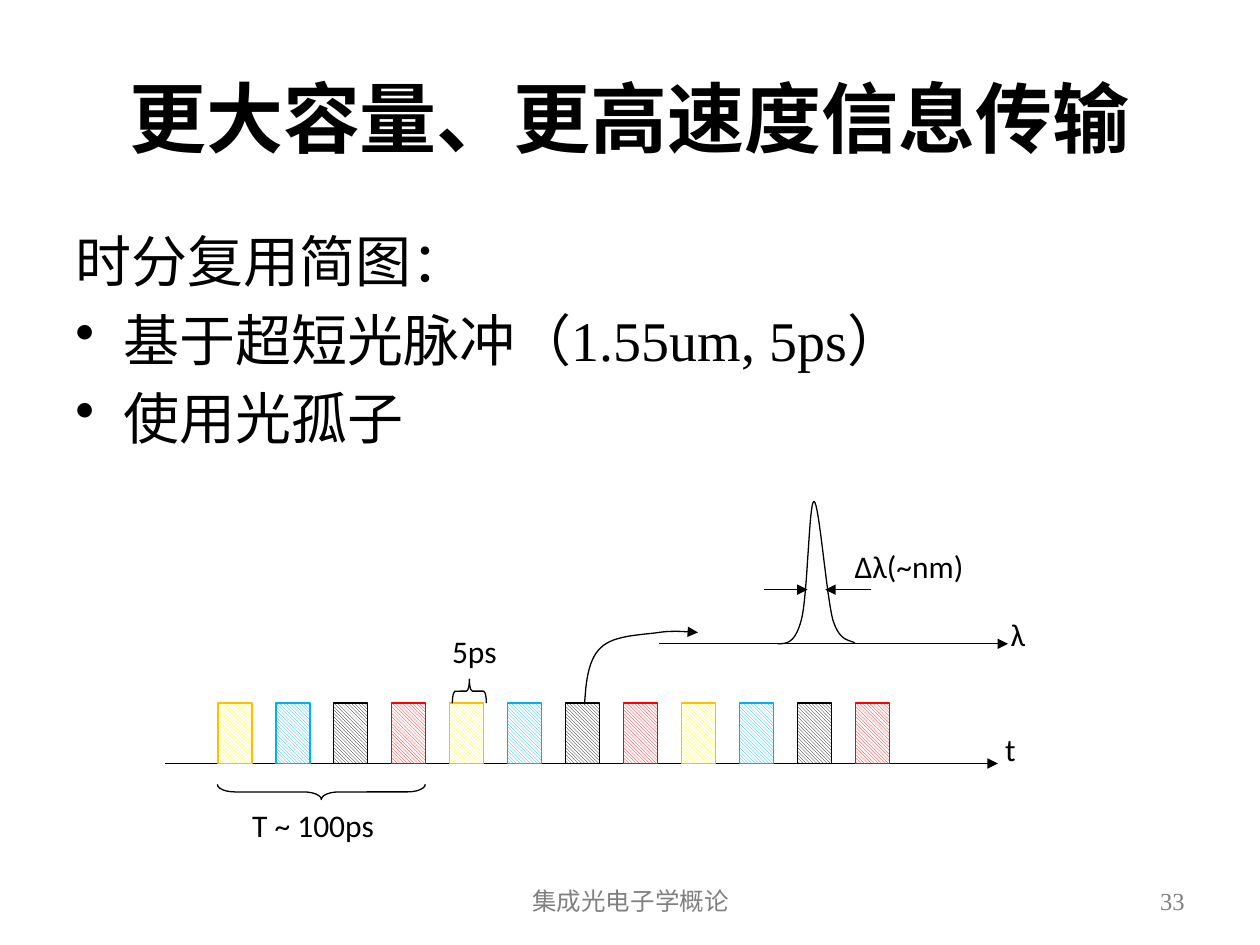
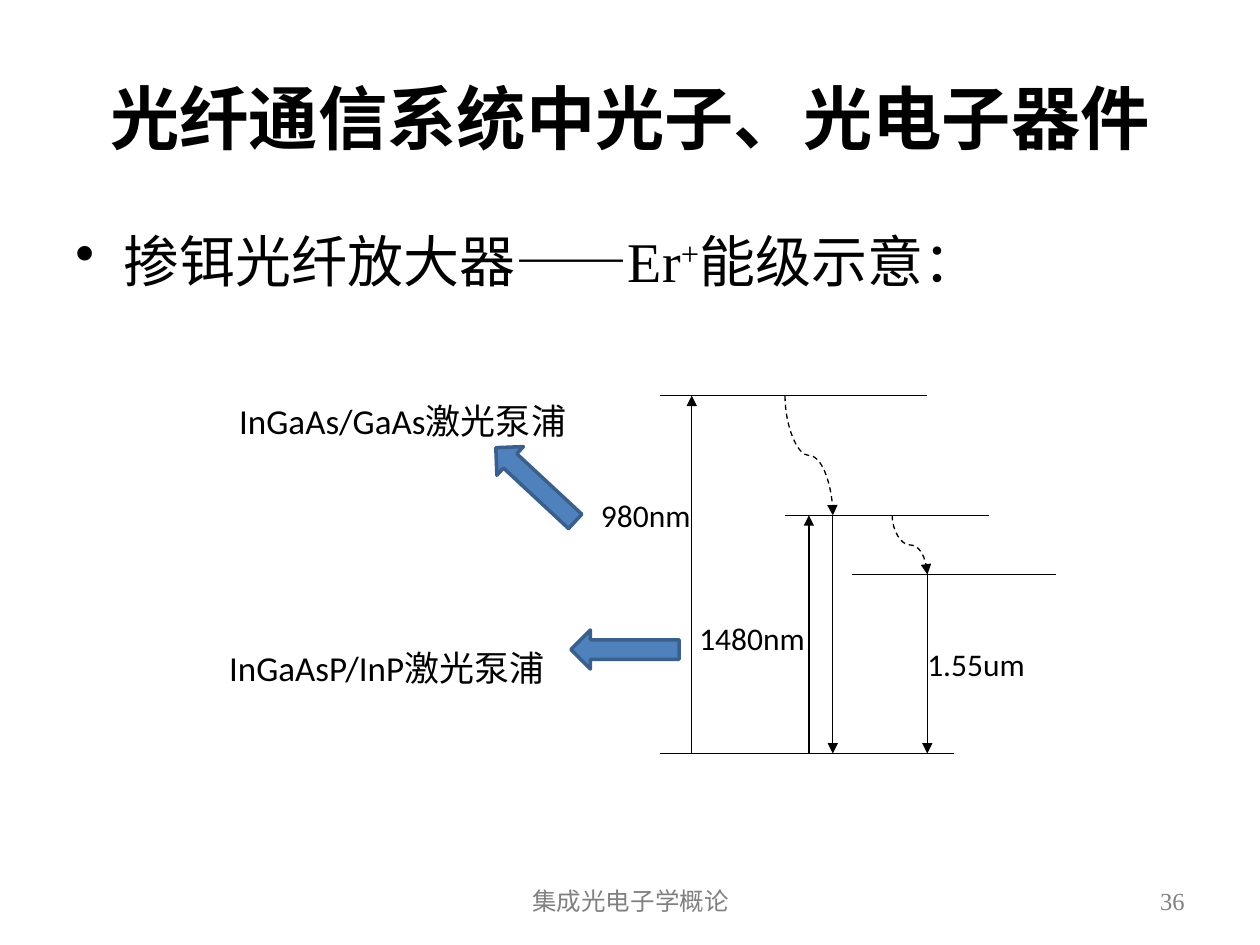
"""Build two slides on optical links: time multiplexing and erbium levels."""
from lxml.etree import SubElement as Sub
from pptx import Presentation
from pptx.dml.color import RGBColor as Rgb
from pptx.enum.dml import MSO_LINE as Dash, MSO_PATTERN as Pat
from pptx.enum.shapes import MSO_CONNECTOR as Con, MSO_SHAPE as Kind
from pptx.enum.text import MSO_ANCHOR as Anchor, PP_ALIGN as Align
from pptx.oxml.ns import qn
from pptx.util import Inches, Pt

HUES = {"ink": "000000", "grey": "808080", "paper": "FFFFFF", "yellow": "FFFF00",
        "gold": "FFC000", "sky": "00B0F0", "red": "FF0000",
        "blue": "4F81BD", "navy": "3A5F8C"}
SERIF, SANS = "Times New Roman", "Calibri"
FONTS = {
    "title": dict(name=SERIF, size=Pt(44), bold=True),
    "long": dict(name=SERIF, size=Pt(39.6), bold=True),
    "body": dict(name=SERIF, size=Pt(32)),
    "label": dict(name=SANS, size=Pt(18)),
    "pump": dict(name=SANS, size=Pt(20)),
    "foot": dict(name=SANS, size=Pt(14)),
    "page": dict(name=SERIF, size=Pt(14)),
}
TITLE, BODY = (0.5, 0.3, 9, 1.25), (0.5, 1.75, 9, 4.95)
FOOT, PAGE = (3.42, 6.95, 3.17, 0.4), (7.17, 6.95, 2.33, 0.4)
COURSE = "集成光电子学概论"
HANG = 0.38

PULSE = {
    "title": "更大容量、更高速度信息传输", "font": "title", "page": "33",
    "body": [(False, ["时分复用简图："]),
             (True, ["基于超短光脉冲（1.55um, 5ps）"]),
             (True, ["使用光孤子"])],
    "labels": [("5ps", (3.13, 5.02, 1.27, 0.47)),
               ("t", (7.74, 5.79, 0.56, 0.46)),
               ("λ", (7.8, 4.88, 0.56, 0.46)),
               ("Δλ(~nm)", (6.69, 4.34, 1.05, 0.46)),
               ("T ~ 100ps", (1.76, 6.4, 1.45, 0.6))],
    "arrows": [(1.31, 6.06, 7.92, 6.06), (5.23, 5.11, 8, 5.11),
               (6.06, 4.68, 6.41, 4.68), (6.91, 4.68, 6.55, 4.68)],
}
TINTS = [("yellow", "gold"), ("sky", "sky"), ("ink", "ink"), ("red", "red")]
ROUNDS, LEFT, STEP, TOP, WIDE, HIGH = 3, 1.73, 0.46, 5.58, 0.27, 0.48
BRACES = [((2.49, 5.46, 0.12, 1.65), 270, 1.17), ((3.63, 5.35, 0.19, 0.27), 90, 0.12)]
PEAK = [(6.17, 5.11), (6.24, 5.11), (6.31, 5.11), (6.36, 4.92),
        (6.41, 4.74), (6.42, 3.98), (6.46, 3.98),
        (6.5, 3.98), (6.56, 4.74), (6.61, 4.92),
        (6.67, 5.11), (6.75, 5.07), (6.79, 5.11)]
LEAD = [(4.64, 5.59), (4.65, 5.41), (4.67, 5.23), (4.77, 5.14),
        (4.87, 5.04), (5.1, 5.04), (5.23, 5.02),
        (5.36, 5), (5.49, 5.02), (5.54, 5.02)]

ERBIUM = {
    "title": "光纤通信系统中光子、光电子器件", "font": "long", "page": "36",
    "body": [(True, ["掺铒光纤放大器——Er", "^+", "能级示意："])],
    "labels": [("980nm", (4.77, 3.94, 0.93, 0.51)),
               ("1480nm", (5.55, 4.91, 0.93, 0.51)),
               ("1.55um", (7.36, 5.12, 0.93, 0.51))],
}
GROUND, LOW, MID, HIGHEST = 5.98, 4.56, 4.09, 3.14
LEVELS = [(5.24, 7.57, GROUND), (6.76, 8.38, LOW), (6.23, 7.85, MID), (5.24, 7.36, HIGHEST)]
JUMPS = [(5.49, GROUND, HIGHEST), (6.42, GROUND, MID), (7.36, LOW, GROUND), (6.61, MID, GROUND)]
DECAYS = [(6.23, HIGHEST, 6.61, MID), (7.08, MID, 7.36, LOW)]
PUMPS = [("InGaAs/GaAs激光泵浦", (1.8, 3.12, 3.05, 0.44), (3.82, 3.69, 0.86, 0.31), 222.9),
         ("InGaAsP/InP激光泵浦", (1.72, 5.08, 3.44, 0.44), (4.53, 5, 0.86, 0.31), 180)]


def hue(key):
    return Rgb.from_string(HUES[key])


def scale(box):
    return [Inches(v) for v in box]


def style(font, key, tint="ink"):
    for name, value in FONTS[key].items():
        setattr(font, name, value)
    font.color.rgb = hue(tint)


def frame(slide, box, anchor=Anchor.TOP, inset=None):
    text = slide.shapes.add_textbox(*scale(box)).text_frame
    text.word_wrap, text.vertical_anchor = True, anchor
    if inset is not None:
        for side in ("left", "top", "right", "bottom"):
            setattr(text, f"margin_{side}", Inches(inset))
    return text


def write(slide, words, box, key, align=Align.LEFT, tint="ink", **form):
    para = frame(slide, box, **form).paragraphs[0]
    para.alignment = align
    run = para.add_run()
    run.text = words
    style(run.font, key, tint)


def list_body(slide, rows):
    text = frame(slide, BODY)
    for i, (dot, parts) in enumerate(rows):
        para = text.add_paragraph() if i else text.paragraphs[0]
        if i:
            para.space_before = Pt(6.4)
        prop = para._p.get_or_add_pPr()
        prop.set("marL", str(Inches(HANG)))
        prop.set("indent", str(-Inches(HANG)))
        if dot:
            Sub(prop, qn("a:buChar"), char="•")
        else:
            Sub(prop, qn("a:buNone"))
        for part in parts:
            run = para.add_run()
            run.text = part.lstrip("^")
            style(run.font, "body")
            if part.startswith("^"):
                run._r.get_or_add_rPr().set("baseline", "30000")


def stroke(item, tint="ink", width=0.75, head=False, dash=None):
    item.line.color.rgb, item.line.width = hue(tint), Pt(width)
    if dash:
        item.line.dash_style = dash
    if head:
        Sub(item._element.spPr.find(qn("a:ln")), qn("a:tailEnd"), type="triangle")


def link(slide, ends, kind=Con.STRAIGHT, **form):
    line = slide.shapes.add_connector(kind, *scale(ends))
    stroke(line, **form)
    Sub(line._element.spPr, qn("a:effectLst"))
    return line


def decay(slide, x1, y1, x2, y2):
    mid, level = (x1 + x2) / 2, (y1 + y2) / 2
    half, rise = (y2 - y1) / 2, (x2 - x1) / 2
    ends = (mid + half, level - rise, mid - half, level + rise)
    line = link(slide, ends, Con.CURVE, head=True, dash=Dash.DASH)
    line._element.spPr.find(qn("a:xfrm")).set("rot", str(270 * 60000))


def shape(slide, kind, box, turn=0):
    item = slide.shapes.add_shape(kind, *scale(box))
    item.shadow.inherit, item.rotation = False, turn
    return item


def bend(knots, steps=16):
    for i in range(0, len(knots) - 1, 3):
        for n in range(1, steps + 1):
            t = n / steps
            mix = ((1 - t) ** 3, 3 * t * (1 - t) ** 2, 3 * t * t * (1 - t), t ** 3)
            yield tuple(sum(m * k[a] for m, k in zip(mix, knots[i:i + 4])) for a in (0, 1))


def curve(slide, knots, **form):
    pen = slide.shapes.build_freeform(*scale(knots[0]))
    pen.add_line_segments([scale(spot) for spot in bend(knots)], close=False)
    item = pen.convert_to_shape()
    item.shadow.inherit = False
    item.fill.background()
    stroke(item, **form)


def start(deck, data, align):
    slide = deck.slides.add_slide(deck.slide_layouts[6])
    write(slide, data["title"], TITLE, data["font"], Align.CENTER, anchor=Anchor.MIDDLE)
    list_body(slide, data["body"])
    for words, box in data["labels"]:
        write(slide, words, box, "label", align, inset=0)
    write(slide, COURSE, FOOT, "foot", Align.CENTER, "grey", anchor=Anchor.MIDDLE)
    write(slide, data["page"], PAGE, "page", Align.RIGHT, "grey", anchor=Anchor.MIDDLE)
    return slide


def draw_pulse(deck):
    slide = start(deck, PULSE, Align.CENTER)
    for ends in PULSE["arrows"]:
        link(slide, ends, head=True)
    for i, (tint, edge) in enumerate(TINTS * ROUNDS):
        slot = shape(slide, Kind.RECTANGLE, (LEFT + i * STEP, TOP, WIDE, HIGH))
        slot.fill.patterned()
        slot.fill.pattern = Pat.LIGHT_DOWNWARD_DIAGONAL
        slot.fill.fore_color.rgb, slot.fill.back_color.rgb = hue(tint), hue("paper")
        stroke(slot, edge)
    for box, turn, bow in BRACES:
        brace = shape(slide, Kind.LEFT_BRACE, box, turn)
        brace.adjustments[0] = bow
        brace.fill.background()
        stroke(brace)
    curve(slide, PEAK)
    curve(slide, LEAD, head=True)


def draw_erbium(deck):
    slide = start(deck, ERBIUM, Align.LEFT)
    for x1, x2, y in LEVELS:
        link(slide, (x1, y, x2, y))
    for x, y1, y2 in JUMPS:
        link(slide, (x, y1, x, y2), head=True)
    for ends in DECAYS:
        decay(slide, *ends)
    for words, box, spot, turn in PUMPS:
        write(slide, words, box, "pump")
        arrow = shape(slide, Kind.RIGHT_ARROW, spot, turn)
        arrow.fill.solid()
        arrow.fill.fore_color.rgb = hue("blue")
        stroke(arrow, "navy", 2)


def main():
    deck = Presentation()
    deck.slide_width, deck.slide_height = scale((10, 7.5))
    draw_pulse(deck)
    draw_erbium(deck)
    deck.save("out.pptx")


if __name__ == "__main__":
    main()
